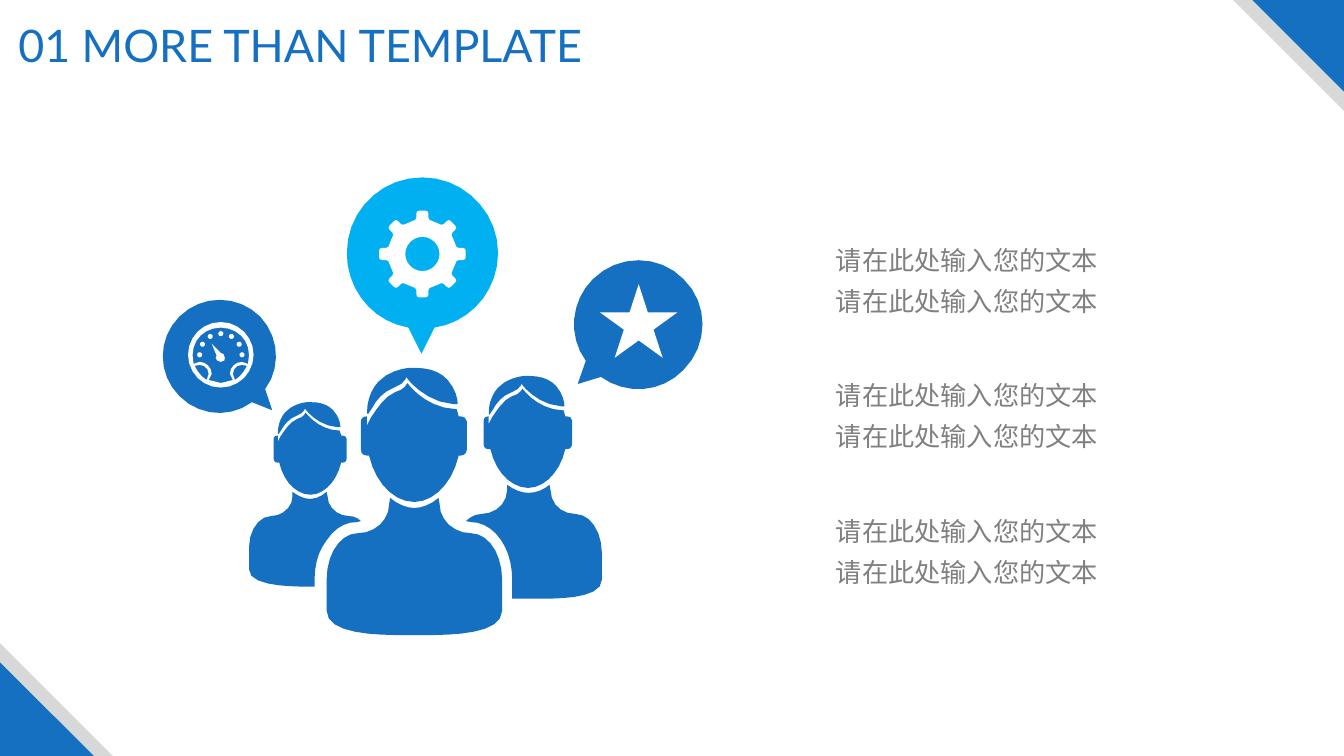
import math

import pptx
import pptx.dml.color
import pptx.enum.shapes
import pptx.enum.text
import pptx.oxml.ns
import pptx.util

Inches = pptx.util.Inches
SHAPES = pptx.enum.shapes.MSO_SHAPE
BLUE, CYAN, SILVER, GRAY, WHITE = "1570C1", "00B0F0", "D7D8D8", "808080", "FFFFFF"
UNITS = 1000  # freeform units per inch

# Outlines: a pair is a straight step, six numbers are a cubic curve.
HEAD = [(.46, .48), (.44, .48), (.42, .41),
        (.16, .4, 0, .24, -.07, .15), (-.09, .19, -.12, .22, -.19, .24),
        (-.32, .29, -.42, .49, -.43, .49), (-.47, .57), (-.47, .48),
        (-.51, .48, -.53, .5, -.53, .53), (-.53, .81),
        (-.53, .85, -.51, .87, -.47, .87), (-.45, .87),
        (-.39, 1.13, -.21, 1.33, 0, 1.33), (.2, 1.33, .38, 1.13, .44, .87),
        (.46, .87), (.49, .87, .52, .85, .52, .81), (.52, .53),
        (.52, .5, .49, .48, .46, .48)]
HAIR = [(.43, .36), (.43, .31, .41, .21, .33, .12), (.26, .04, .15, 0, .01, 0),
        (-.05, 0), (-.05, 0, -.24, .01, -.36, .14),
        (-.43, .22, -.47, .32, -.47, .45), (-.46, .46), (-.42, .4),
        (-.38, .32, -.3, .23, -.21, .2), (-.1, .16, -.08, .1, -.08, .09),
        (-.08, .1, .1, .34, .39, .36)]
PEOPLE = [(3.08, 3.99, .69), (5.24, 3.73, .835), (4.11, 3.65, 1)]

CENTER_HALF = [(4.11, 5.04), (4.19, 5.04, 4.28, 5, 4.35, 4.94), (4.36, 5),
               (4.36, 5.16, 4.5, 5.29, 4.67, 5.29),
               (4.84, 5.29, 4.98, 5.49, 4.98, 5.75), (4.98, 6.06),
               (4.98, 6.32, 4.36, 6.3, 4.11, 6.3)]
RIGHT_BODY = [(5.71, 5.1), (5.57, 5.1, 5.46, 5, 5.46, 4.86), (5.45, 4.81),
              (5.39, 4.86, 5.32, 4.89, 5.24, 4.89),
              (5.17, 4.89, 5.1, 4.86, 5.03, 4.81), (5.03, 4.86),
              (5.03, 5, 4.91, 5.1, 4.77, 5.1), (4.72, 5.1, 4.66, 5.13, 4.62, 5.17),
              (4.67, 5.18), (4.78, 5.18, 4.89, 5.24, 4.97, 5.36),
              (5.04, 5.46, 5.08, 5.6, 5.08, 5.75), (5.08, 5.94), (5.24, 5.94),
              (5.46, 5.94, 5.97, 5.96, 5.97, 5.75), (5.97, 5.49),
              (5.97, 5.27, 5.85, 5.1, 5.71, 5.1)]
LEFT_BODY = [(3.24, 5.36), (3.32, 5.24, 3.42, 5.18, 3.54, 5.18), (3.58, 5.17),
             (3.55, 5.14, 3.51, 5.12, 3.46, 5.12), (3.35, 5.12, 3.25, 5.03, 3.25, 4.93),
             (3.24, 4.88), (3.19, 4.92, 3.14, 4.95, 3.08, 4.95),
             (3.01, 4.95, 2.96, 4.92, 2.9, 4.88), (2.9, 4.93),
             (2.9, 5.03, 2.8, 5.12, 2.69, 5.12), (2.57, 5.12, 2.47, 5.26, 2.47, 5.43),
             (2.47, 5.65), (2.47, 5.82, 2.9, 5.82, 3.08, 5.82), (3.12, 5.82),
             (3.12, 5.75), (3.12, 5.6, 3.16, 5.46, 3.24, 5.36)]

STAR_BUBBLE = [(5.88, 2.77), (6.13, 2.52, 6.54, 2.52, 6.78, 2.77),
               (7.03, 3.01, 7.03, 3.42, 6.78, 3.67), (6.56, 3.9, 6.21, 3.92, 5.96, 3.74),
               (5.73, 3.81), (5.81, 3.58), (5.63, 3.33, 5.66, 2.99, 5.88, 2.77)]
GAUGE_BUBBLE = [(1.78, 3.93), (1.56, 3.71, 1.56, 3.36, 1.78, 3.14),
                (2, 2.92, 2.36, 2.92, 2.58, 3.14), (2.77, 3.34, 2.79, 3.65, 2.63, 3.86),
                (2.7, 4.07), (2.5, 3.99), (2.28, 4.15, 1.98, 4.13, 1.78, 3.93)]
GEAR_BUBBLE = [(3.44, 2.51), (3.44, 2.1, 3.77, 1.76, 4.19, 1.76),
               (4.6, 1.76, 4.94, 2.1, 4.94, 2.51), (4.94, 2.89, 4.66, 3.2, 4.31, 3.25),
               (4.18, 3.51), (4.05, 3.25), (3.7, 3.19, 3.44, 2.88, 3.44, 2.51)]

GAUGE_X, GAUGE_Y = 2.19, 3.52
GAUGE_LENS = [(2.05, 3.77), (2, 3.74, 1.96, 3.69, 1.93, 3.63), (1.98, 3.62),
              (2.03, 3.62, 2.07, 3.66, 2.07, 3.71), (2.05, 3.77)]
GAUGE_FACE_HALF = [(2.19, 3.8), (2.07, 3.77), (2.1, 3.71),
                   (2.1, 3.64, 2.04, 3.59, 1.98, 3.59), (1.92, 3.61), (1.91, 3.52),
                   (1.91, 3.37, 2.03, 3.25, 2.19, 3.25)]
NEEDLE = [(2.19, 3.5), (2.1, 3.41), (2.15, 3.53), (2.14, 3.55),
          (2.14, 3.57, 2.16, 3.59, 2.19, 3.59), (2.23, 3.59, 2.23, 3.57, 2.23, 3.55),
          (2.23, 3.52, 2.21, 3.5, 2.19, 3.5)]
GEAR_X, GEAR_Y = 4.19, 2.52
TOOTH = [(-.09, -.33), (-.08, -.33, -.06, -.34, -.06, -.36), (-.06, -.4),
         (-.06, -.42, -.05, -.43, -.03, -.43), (.03, -.43),
         (.05, -.43, .06, -.42, .06, -.4), (.06, -.36),
         (.06, -.34, .08, -.33, .09, -.33)]


def rgb(color):
    return pptx.dml.color.RGBColor.from_string(color)


def trace(outline):
    """Turn an outline into points, sampling long curves more often."""
    points = [outline[0]]
    for seg in outline[1:]:
        if len(seg) == 2:
            points.append(seg)
            continue
        ctrl = (points[-1], seg[:2], seg[2:4], seg[4:])
        length = sum(math.dist(a, b) for a, b in zip(ctrl, ctrl[1:]))
        steps = max(2, round(8 * math.sqrt(length)))
        for i in range(1, steps + 1):
            t = i / steps
            weights = ((1 - t) ** 3, 3 * t * (1 - t) ** 2, 3 * t * t * (1 - t), t ** 3)
            points.append(tuple(sum(w * c[k] for w, c in zip(weights, ctrl))
                                for k in (0, 1)))
    return points


def mirror(points, axis):
    return [(2 * axis - x, y) for x, y in reversed(points)]


def place(points, x, y, scale=1, degrees=0):
    """Scale and rotate points about zero, then move them to x, y."""
    c, s = math.cos(math.radians(degrees)), math.sin(math.radians(degrees))
    return [(x + scale * (px * c - py * s), y + scale * (px * s + py * c))
            for px, py in points]


def circle(x, y, radius, count=24):
    return [place([(0, -radius)], x, y, 1, 360 * i / count)[0] for i in range(count)]


class SlideBuilder:
    def __init__(self, slide):
        self.shapes = slide.shapes

    def paint(self, sp, color):
        sp.shadow.inherit = False
        sp.fill.solid()
        sp.fill.fore_color.rgb = rgb(color)
        sp.line.fill.background()

    def preset(self, kind, x, y, w, h, color, rotation=0):
        sp = self.shapes.add_shape(kind, Inches(x), Inches(y), Inches(w), Inches(h))
        sp.rotation = rotation
        self.paint(sp, color)

    def outline(self, color, *contours):
        """Draw closed contours as one shape; inner contours are holes."""
        builder = None
        for contour in contours:
            points = [(x * UNITS, y * UNITS) for x, y in contour]
            if builder is None:
                builder = self.shapes.build_freeform(*points[0], scale=Inches(1) / UNITS)
            else:
                builder.move_to(*points[0])
            builder.add_line_segments(points[1:], close=True)
        self.paint(builder.convert_to_shape(), color)

    def text(self, lines, x, y, w, h, size, font, color, spacing=None):
        tf = self.shapes.add_textbox(Inches(x), Inches(y), Inches(w), Inches(h)).text_frame
        tf.word_wrap = True
        tf.auto_size = pptx.enum.text.MSO_AUTO_SIZE.SHAPE_TO_FIT_TEXT
        tf.text = "\n".join(lines)
        for p in tf.paragraphs:
            p.alignment = pptx.enum.text.PP_ALIGN.CENTER
            p.line_spacing = spacing
            for r in p.runs:
                r.font.size = pptx.util.Pt(size)
                r.font.name = font
                r.font.color.rgb = rgb(color)
                ea = r.font._element.makeelement(pptx.oxml.ns.qn("a:ea"), {"typeface": font})
                r.font._element.append(ea)


def main():
    prs = pptx.Presentation()
    prs.slide_width, prs.slide_height = Inches(13.33), Inches(7.5)
    s = SlideBuilder(prs.slides.add_slide(prs.slide_layouts[6]))

    for size, color in ((1.1, SILVER), (.91, BLUE)):
        s.preset(SHAPES.RIGHT_TRIANGLE, 13.33 - size, 0, size, size, color, 180)
    for size, color in ((1.12, SILVER), (.93, BLUE)):
        s.preset(SHAPES.RIGHT_TRIANGLE, 0, 7.5 - size, size, size, color)
    s.text(["01 MORE THAN TEMPLATE"], .02, .13, 5.92, .64, 32, "Lato", BLUE)

    for bubble, color in ((STAR_BUBBLE, BLUE), (GAUGE_BUBBLE, BLUE), (GEAR_BUBBLE, CYAN)):
        s.outline(color, trace(bubble))
    half = trace(CENTER_HALF)
    for body in (trace(LEFT_BODY), trace(RIGHT_BODY), half + mirror(half, 4.11)):
        s.outline(BLUE, body)
    for x, y, scale in PEOPLE:
        for part in (HEAD, HAIR):
            s.outline(BLUE, place(trace(part), x, y, scale))

    lens, face = trace(GAUGE_LENS), trace(GAUGE_FACE_HALF)
    s.outline(WHITE, circle(GAUGE_X, GAUGE_Y, .325), lens, mirror(lens, GAUGE_X),
              face + mirror(face, GAUGE_X))
    for x, y in circle(GAUGE_X, GAUGE_Y, .21, 12):
        if y < GAUGE_Y + .01:
            s.preset(SHAPES.OVAL, x - .025, y - .025, .05, .05, WHITE)
    s.outline(WHITE, trace(NEEDLE))

    gear = [point for angle in range(0, 360, 45)
            for point in place(trace(TOOTH), GEAR_X, GEAR_Y, 1, angle)]
    s.outline(WHITE, gear, circle(GEAR_X, GEAR_Y, .17))
    s.preset(SHAPES.STAR_5_POINT, 5.95, 2.82, .77, .73, WHITE)

    for i in range(3):
        s.text(["请在此处输入您的文本"] * 2, 8.13, 2.28 + 1.345 * i, 2.92, .92,
               18.7, "Noto Sans CJK SC", GRAY, 1.3)
    prs.save("out.pptx")


if __name__ == "__main__":
    main()
